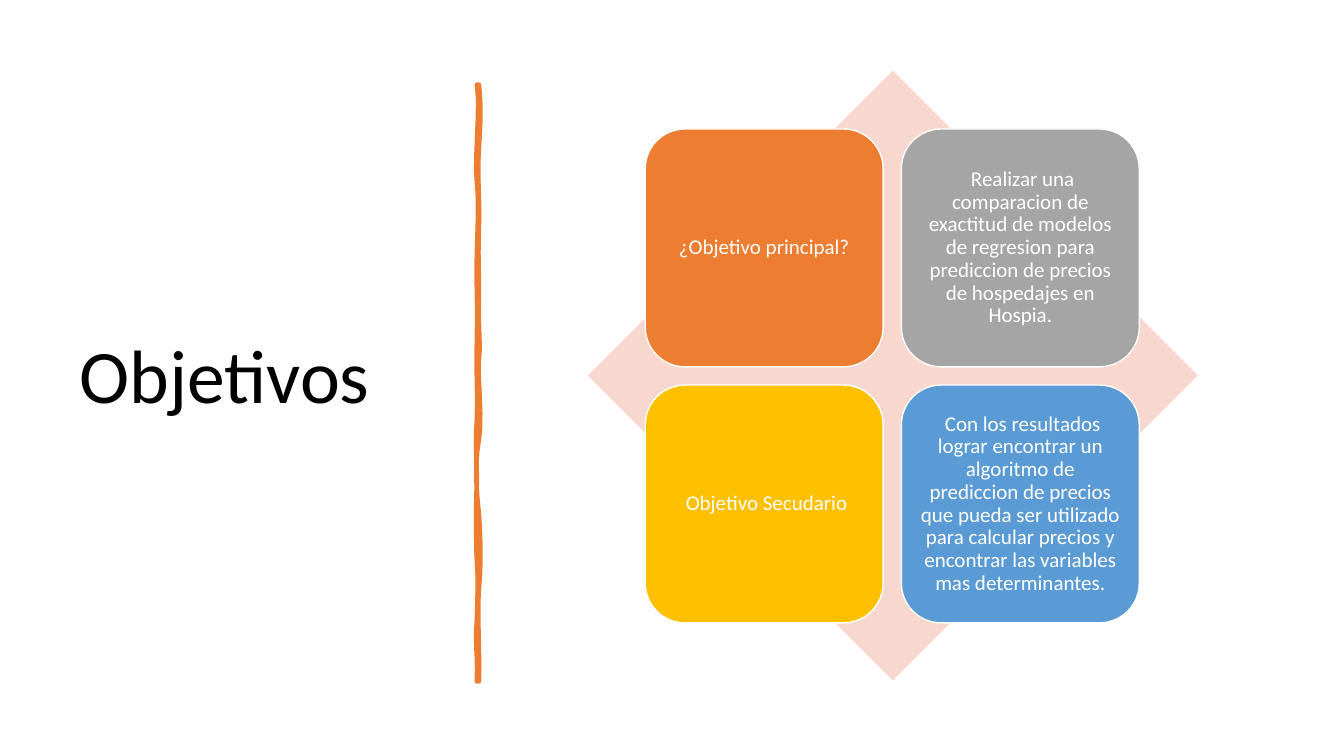
from lxml import etree
from pptx import Presentation
from pptx.dml.color import RGBColor
from pptx.enum.shapes import MSO_SHAPE
from pptx.enum.text import MSO_ANCHOR, PP_ALIGN
from pptx.oxml.ns import qn
from pptx.util import Inches, Pt

DIAMOND = MSO_SHAPE.DIAMOND
ROUNDED = MSO_SHAPE.ROUNDED_RECTANGLE
MIDDLE = MSO_ANCHOR.MIDDLE
LEFT, CENTER = PP_ALIGN.LEFT, PP_ALIGN.CENTER

BLACK = RGBColor(0x00, 0x00, 0x00)
WHITE = RGBColor(0xFF, 0xFF, 0xFF)
ORANGE = RGBColor(0xED, 0x7D, 0x31)
GRAY = RGBColor(0xA5, 0xA5, 0xA5)
GOLD = RGBColor(0xFF, 0xC0, 0x00)
BLUE = RGBColor(0x5B, 0x9B, 0xD5)
PINK = RGBColor(0xF8, 0xD7, 0xCE)


def write(sp, text, size, color, align=LEFT, inset=None):
    """Write one vertically centred paragraph into a shape."""
    tf = sp.text_frame
    tf.word_wrap = True
    tf.vertical_anchor = MIDDLE
    if inset is not None:
        tf.margin_left = tf.margin_right = Inches(inset)
        tf.margin_top = tf.margin_bottom = Inches(inset)
    p = tf.paragraphs[0]
    p.alignment = align
    p.line_spacing = 0.9
    r = p.add_run()
    r.text = text
    r.font.name = "Calibri"
    r.font.size = Pt(size)
    r.font.color.rgb = color


def bezier(a, b, c, d, t):
    """Return the coordinate of a cubic curve at t."""
    u = 1 - t
    return u**3 * a + 3 * u * u * t * b + 3 * u * t * t * c + t**3 * d


prs = Presentation()
prs.slide_width, prs.slide_height = Inches(13.33), Inches(7.5)
s = prs.slides.add_slide(prs.slide_layouts[6])

title = s.shapes.add_textbox(Inches(0.69), Inches(0.7), Inches(3.74), Inches(6.11))
write(title, "Objetivos", 54, BLACK)

# Hand-drawn divider: each row holds two control points and an end point
STROKE_START = (4.75, 0.84)
STROKE = [
    (4.77, 1.02, 4.77, 1.19, 4.75, 1.46),
    (4.73, 1.73, 4.76, 1.95, 4.75, 2.26),
    (4.74, 2.57, 4.75, 2.62, 4.75, 2.94),
    (4.74, 3.25, 4.77, 3.42, 4.75, 3.56),
    (4.73, 3.7, 4.79, 4.14, 4.75, 4.36),
    (4.71, 4.57, 4.72, 4.84, 4.75, 5.1),
    (4.77, 5.36, 4.77, 5.64, 4.75, 5.84),
    (4.73, 6.03, 4.76, 6.5, 4.75, 6.76),
    (4.74, 6.76, 4.73, 6.76, 4.73, 6.76),
    (4.74, 6.46, 4.71, 6.44, 4.73, 6.13),
    (4.74, 5.83, 4.74, 5.7, 4.73, 5.57),
    (4.72, 5.44, 4.72, 4.95, 4.73, 4.77),
    (4.73, 4.59, 4.71, 4.45, 4.73, 4.15),
    (4.74, 3.86, 4.72, 3.73, 4.73, 3.35),
    (4.74, 2.98, 4.72, 2.81, 4.73, 2.5),
    (4.74, 2.18, 4.75, 2, 4.73, 1.81),
    (4.7, 1.63, 4.77, 1.04, 4.73, 0.84),
]
STEPS = 6
points = []
x, y = STROKE_START
for x1, y1, x2, y2, x3, y3 in STROKE:
    for i in range(1, STEPS + 1):
        t = i / STEPS
        points.append((Inches(bezier(x, x1, x2, x3, t)), Inches(bezier(y, y1, y2, y3, t))))
    x, y = x3, y3
builder = s.shapes.build_freeform(*map(Inches, STROKE_START))
builder.add_line_segments(points, close=True)
divider = builder.convert_to_shape()
divider.shadow.inherit = False
divider.fill.solid()
divider.fill.fore_color.rgb = ORANGE
divider.line.color.rgb = ORANGE
divider.line.width = Pt(3.25)
etree.SubElement(divider.element.spPr.find(qn("a:ln")), qn("a:round"))

diamond = s.shapes.add_shape(DIAMOND, Inches(5.83), Inches(0.7), Inches(6.05), Inches(6.05))
diamond.shadow.inherit = False
diamond.fill.solid()
diamond.fill.fore_color.rgb = PINK
diamond.line.fill.background()

# Two by two grid of cards
CARD, PITCH = 2.36, 2.54
CARDS = [
    ("¿Objetivo principal?", ORANGE),
    ("\u00a0Realizar una comparacion de exactitud de modelos de regresion para "
     "prediccion de precios de hospedajes\u00a0en Hospia.", GRAY),
    ("\u00a0Objetivo Secudario", GOLD),
    ("\u00a0Con los resultados lograr encontrar un algoritmo de prediccion de precios "
     "que pueda ser utilizado para calcular precios y encontrar las variables "
     "mas determinantes.", BLUE),
]
for i, (text, color) in enumerate(CARDS):
    row, col = divmod(i, 2)
    card = s.shapes.add_shape(ROUNDED, Inches(6.4 + col * PITCH), Inches(1.28 + row * PITCH),
                              Inches(CARD), Inches(CARD))
    card.shadow.inherit = False
    card.fill.solid()
    card.fill.fore_color.rgb = color
    card.line.color.rgb = WHITE
    card.line.width = Pt(1)
    write(card, text, 15, WHITE, align=CENTER, inset=0.06)

prs.save("out.pptx")
